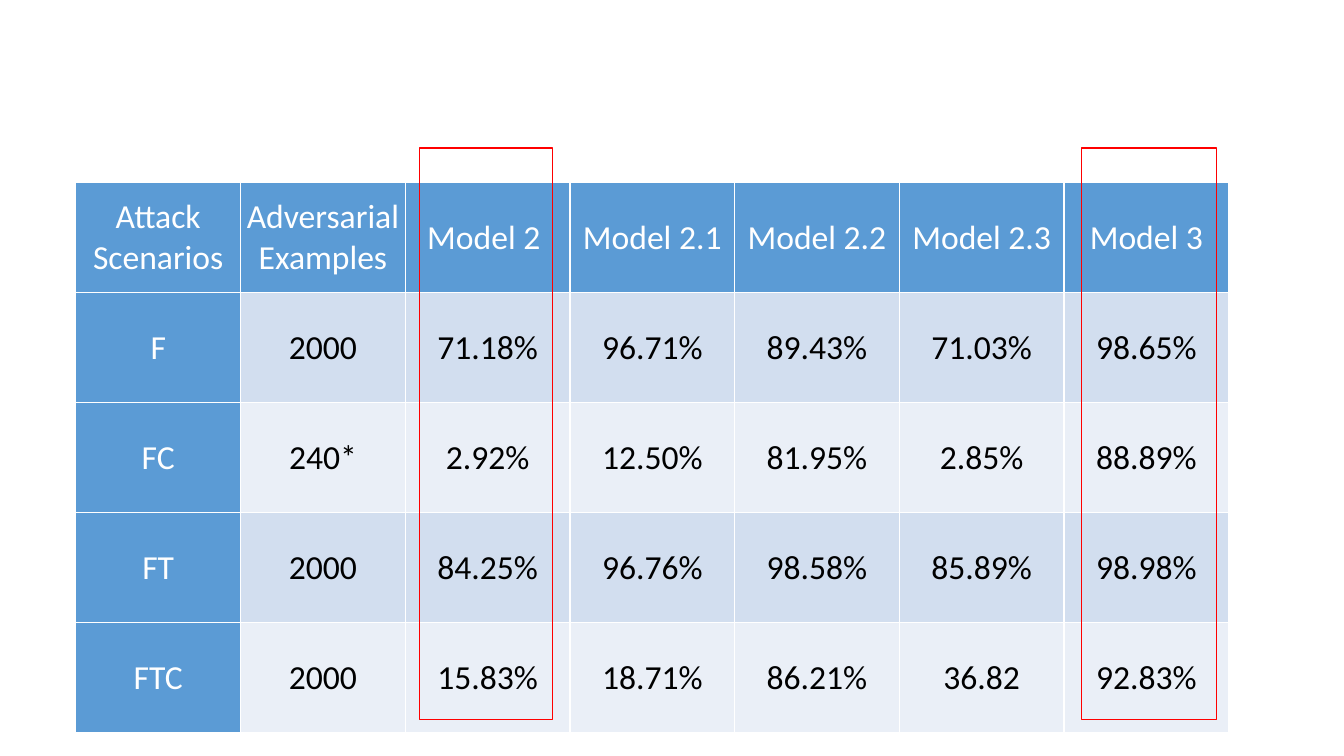
from dataclasses import dataclass

from lxml.etree import SubElement
from pptx import Presentation
from pptx.dml.color import RGBColor
from pptx.enum.shapes import MSO_SHAPE
from pptx.enum.text import MSO_ANCHOR, PP_ALIGN
from pptx.oxml.ns import qn
from pptx.slide import Slide
from pptx.table import _Cell
from pptx.util import Pt

WHITE = RGBColor(0xFF, 0xFF, 0xFF)
BLACK = RGBColor(0x00, 0x00, 0x00)
RED = RGBColor(0xFF, 0x00, 0x00)
HEADER_BLUE = RGBColor(0x5B, 0x9B, 0xD5)
BAND_DARK = RGBColor(0xD2, 0xDE, 0xEF)
BAND_LIGHT = RGBColor(0xEA, 0xEF, 0xF7)

TABLE_LEFT, TABLE_TOP = 54.2, 130.5
COLUMN_WIDTH, ROW_HEIGHT = 117.66, 78.6
FRAME_TOP, FRAME_HEIGHT = 105.8, 408.2

DETECTION_RATES = (
    ("Attack Scenarios", "Adversarial Examples", "Model 2 ", "Model 2.1", "Model 2.2", "Model 2.3", "Model 3"),
    ("F", "2000", "71.18%", "96.71%", "89.43%", "71.03%", "98.65%"),
    ("FC", "240*", "2.92%", "12.50%", "81.95%", "2.85%", "88.89%"),
    ("FT", "2000", "84.25%", "96.76%", "98.58%", "85.89%", "98.98%"),
    ("FTC", "2000", "15.83%", "18.71%", "86.21%", "36.82", "92.83%"),
)


@dataclass(frozen=True)
class HighlightFrame:
    left: float
    width: float


HIGHLIGHT_FRAMES = (HighlightFrame(299.5, 95), HighlightFrame(772.6, 96.5))


def add_borders(cell: _Cell) -> None:
    properties = cell._tc.get_or_add_tcPr()
    for side in ("a:lnL", "a:lnR", "a:lnT", "a:lnB"):
        border = SubElement(properties, qn(side), w=str(Pt(1)))
        fill = SubElement(border, qn("a:solidFill"))
        SubElement(fill, qn("a:srgbClr"), val=str(WHITE))


def style_cell(cell: _Cell, text: str, fill: RGBColor, color: RGBColor) -> None:
    add_borders(cell)
    cell.fill.solid()
    cell.fill.fore_color.rgb = fill
    cell.margin_left = cell.margin_right = cell.margin_top = cell.margin_bottom = 0
    cell.vertical_anchor = MSO_ANCHOR.MIDDLE
    cell.text = text
    paragraph = cell.text_frame.paragraphs[0]
    paragraph.alignment = PP_ALIGN.CENTER
    paragraph.font.name = "Calibri"
    paragraph.font.size = Pt(24)
    paragraph.font.bold = False
    paragraph.font.color.rgb = color


def add_rate_table(slide: Slide) -> None:
    row_count, column_count = len(DETECTION_RATES), len(DETECTION_RATES[0])
    table = slide.shapes.add_table(
        row_count, column_count, Pt(TABLE_LEFT), Pt(TABLE_TOP),
        Pt(COLUMN_WIDTH * column_count), Pt(ROW_HEIGHT * row_count),
    ).table
    table.first_col = True
    for column in table.columns:
        column.width = Pt(COLUMN_WIDTH)
    for row_index, values in enumerate(DETECTION_RATES):
        table.rows[row_index].height = Pt(ROW_HEIGHT)
        band = BAND_DARK if row_index % 2 else BAND_LIGHT
        for column_index, text in enumerate(values):
            is_header = row_index == 0 or column_index == 0
            fill, color = (HEADER_BLUE, WHITE) if is_header else (band, BLACK)
            style_cell(table.cell(row_index, column_index), text, fill, color)


def add_highlight(slide: Slide, frame: HighlightFrame) -> None:
    shape = slide.shapes.add_shape(
        MSO_SHAPE.RECTANGLE, Pt(frame.left), Pt(FRAME_TOP), Pt(frame.width), Pt(FRAME_HEIGHT)
    )
    shape.shadow.inherit = False
    shape.fill.background()
    shape.line.color.rgb = RED
    shape.line.width = Pt(1)


def main() -> None:
    presentation = Presentation()
    presentation.slide_width, presentation.slide_height = Pt(960), Pt(540)
    slide = presentation.slides.add_slide(presentation.slide_layouts[6])
    add_rate_table(slide)
    for frame in HIGHLIGHT_FRAMES:
        add_highlight(slide, frame)
    presentation.save("out.pptx")


if __name__ == "__main__":
    main()
